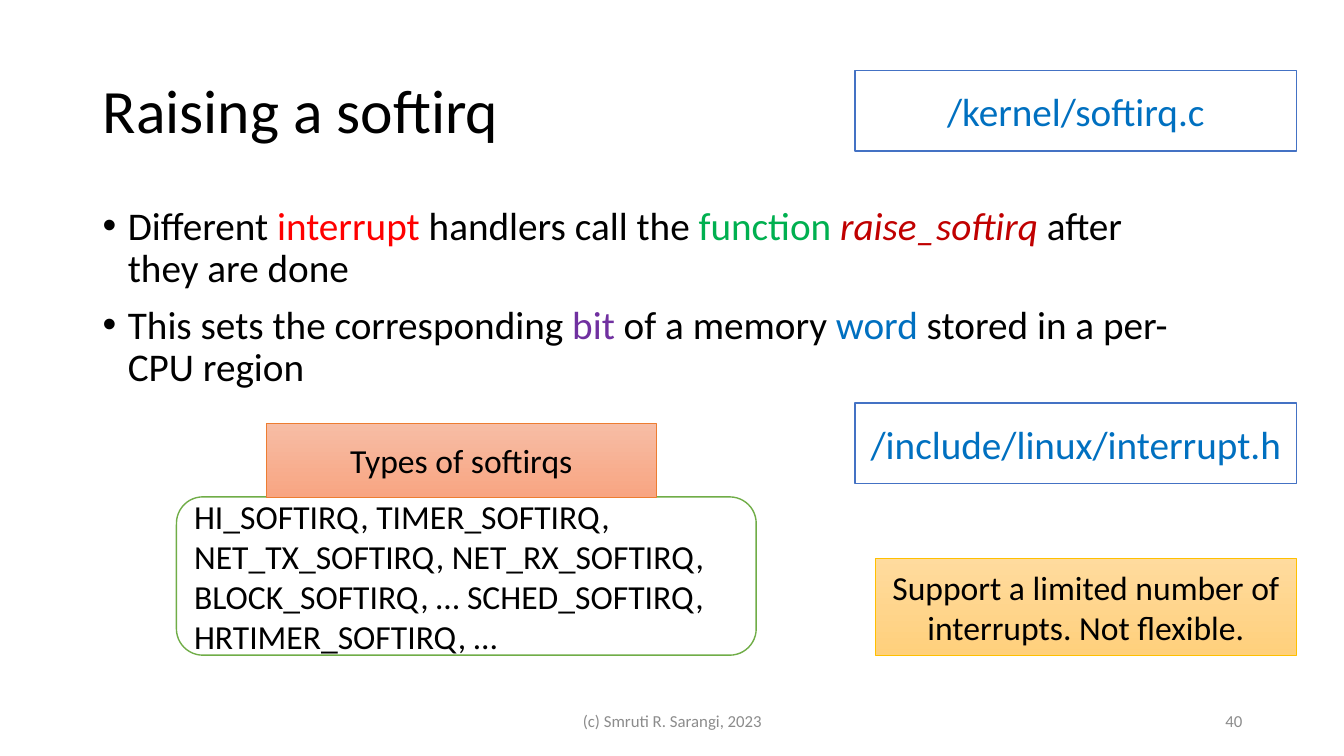
from lxml.etree import SubElement
from pptx import Presentation
from pptx.dml.color import RGBColor
from pptx.enum.shapes import MSO_SHAPE as Preset
from pptx.enum.text import MSO_ANCHOR as Anchor, PP_ALIGN as Align
from pptx.oxml.ns import qn
from pptx.util import Inches, Pt

BLACK = RGBColor(0x00, 0x00, 0x00)
WHITE = RGBColor(0xFF, 0xFF, 0xFF)
GRAY = RGBColor(0x8C, 0x8C, 0x8C)
RED = RGBColor(0xFF, 0x00, 0x00)
DARK_RED = RGBColor(0xC0, 0x00, 0x00)
GREEN = RGBColor(0x00, 0xB0, 0x50)
PURPLE = RGBColor(0x70, 0x30, 0xA0)
BLUE = RGBColor(0x00, 0x70, 0xC0)
BLUE_LINE = RGBColor(0x44, 0x72, 0xC4)
GREEN_LINE = RGBColor(0x70, 0xAD, 0x47)
ORANGE_LINE = RGBColor(0xED, 0x7D, 0x31)
GOLD_LINE = RGBColor(0xFF, 0xC0, 0x00)
ORANGE_FADE = (RGBColor(0xF7, 0xBD, 0xA5), RGBColor(0xF8, 0xA5, 0x82))
GOLD_FADE = (RGBColor(0xFF, 0xDB, 0x9E), RGBColor(0xFF, 0xD0, 0x7C))


def write(paragraph, text, size, color=BLACK, align=Align.LEFT, italic=False):
    paragraph.alignment = align
    run = paragraph.add_run()
    run.text = text
    run.font.name = "Calibri"
    run.font.size = Pt(size)
    run.font.color.rgb = color
    run.font.italic = italic


presentation = Presentation()
presentation.slide_width = Inches(13.33)
presentation.slide_height = Inches(7.5)
slide = presentation.slides.add_slide(presentation.slide_layouts[6])

labels = [
    ("Raising a softirq", (0.92, 0.4, 11.5, 1.45), 44, BLACK, Align.LEFT),
    ("(c) Smruti R. Sarangi, 2023", (4.42, 6.95, 4.5, 0.4), 12, GRAY, Align.CENTER),
    ("40", (9.42, 6.95, 3, 0.4), 12, GRAY, Align.RIGHT),
]
for text, place, size, color, align in labels:
    frame = slide.shapes.add_textbox(*map(Inches, place)).text_frame
    frame.word_wrap = True
    frame.vertical_anchor = Anchor.MIDDLE
    frame.paragraphs[0].line_spacing = 0.9 if size == 44 else 1.0
    write(frame.paragraphs[0], text, size, color=color, align=align)

bullets = [
    [("Different ", BLACK), ("interrupt", RED), (" handlers call the ", BLACK),
     ("function ", GREEN), ("raise_softirq ", DARK_RED), ("after they are done", BLACK)],
    [("This sets the corresponding ", BLACK), ("bit", PURPLE), (" of a memory ", BLACK),
     ("word", BLUE), (" stored in a per-CPU region", BLACK)],
]
body = slide.shapes.add_textbox(Inches(0.92), Inches(2), Inches(11.05), Inches(2.15)).text_frame
body.word_wrap = True
for index, pieces in enumerate(bullets):
    paragraph = body.add_paragraph() if index else body.paragraphs[0]
    properties = paragraph._p.get_or_add_pPr()
    properties.set("marL", str(Inches(0.25)))
    properties.set("indent", str(Inches(-0.25)))
    SubElement(properties, qn("a:buFont")).set("typeface", "Arial")
    SubElement(properties, qn("a:buChar")).set("char", "•")
    paragraph.line_spacing = 0.9
    paragraph.space_before = Pt(10 if index else 0)
    for text, color in pieces:
        write(paragraph, text, 28, color=color, italic=color == DARK_RED)

boxes = [
    ("/kernel/softirq.c", Preset.RECTANGLE, (8.48, 0.7, 4.38, 0.8),
     None, BLUE_LINE, 1, 28, BLUE, Align.CENTER),
    ("/include/linux/interrupt.h", Preset.RECTANGLE, (8.48, 4, 4.38, 0.8),
     None, BLUE_LINE, 1, 28, BLUE, Align.CENTER),
    ("HI_SOFTIRQ, TIMER_SOFTIRQ, NET_TX_SOFTIRQ, NET_RX_SOFTIRQ, "
     "BLOCK_SOFTIRQ, … SCHED_SOFTIRQ, HRTIMER_SOFTIRQ, …",
     Preset.ROUNDED_RECTANGLE, (1.75, 4.93, 5.75, 1.57),
     None, GREEN_LINE, 1, 24, BLACK, Align.LEFT),
    ("Types of softirqs", Preset.RECTANGLE, (2.64, 4.2, 3.87, 0.73),
     ORANGE_FADE, ORANGE_LINE, 0.5, 24, BLACK, Align.CENTER),
    ("Support a limited number of interrupts. Not flexible.",
     Preset.RECTANGLE, (8.68, 5.54, 4.18, 0.96),
     GOLD_FADE, GOLD_LINE, 0.5, 24, BLACK, Align.CENTER),
]
for text, preset, place, fade, line_color, line_width, size, color, align in boxes:
    shape = slide.shapes.add_shape(preset, *map(Inches, place))
    shape.shadow.inherit = False
    if fade:
        shape.fill.gradient()
        shape.fill.gradient_angle = 270
        for stop, stop_color in zip(shape.fill.gradient_stops, fade):
            stop.color.rgb = stop_color
    else:
        shape.fill.solid()
        shape.fill.fore_color.rgb = WHITE
    shape.line.color.rgb = line_color
    shape.line.width = Pt(line_width)
    shape.text_frame.word_wrap = True
    shape.text_frame.vertical_anchor = Anchor.MIDDLE
    write(shape.text_frame.paragraphs[0], text, size, color=color, align=align)

presentation.save("out.pptx")
